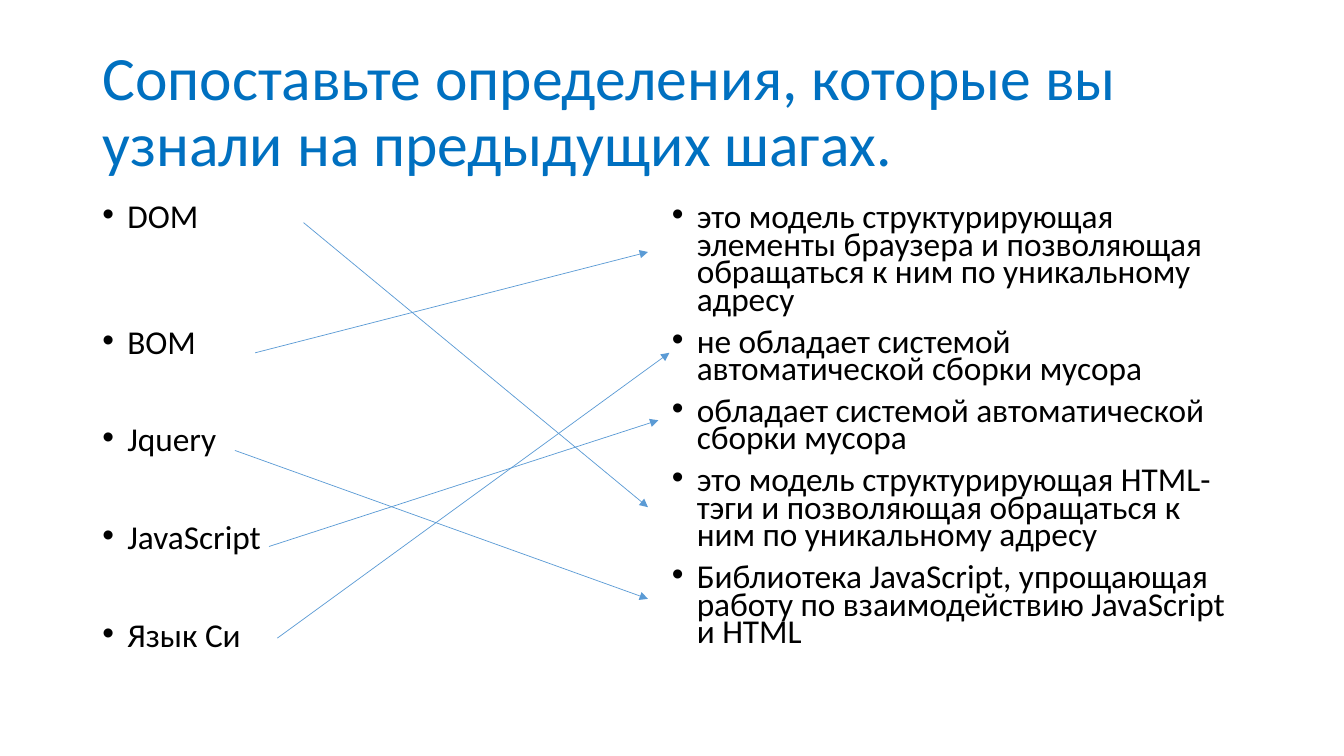
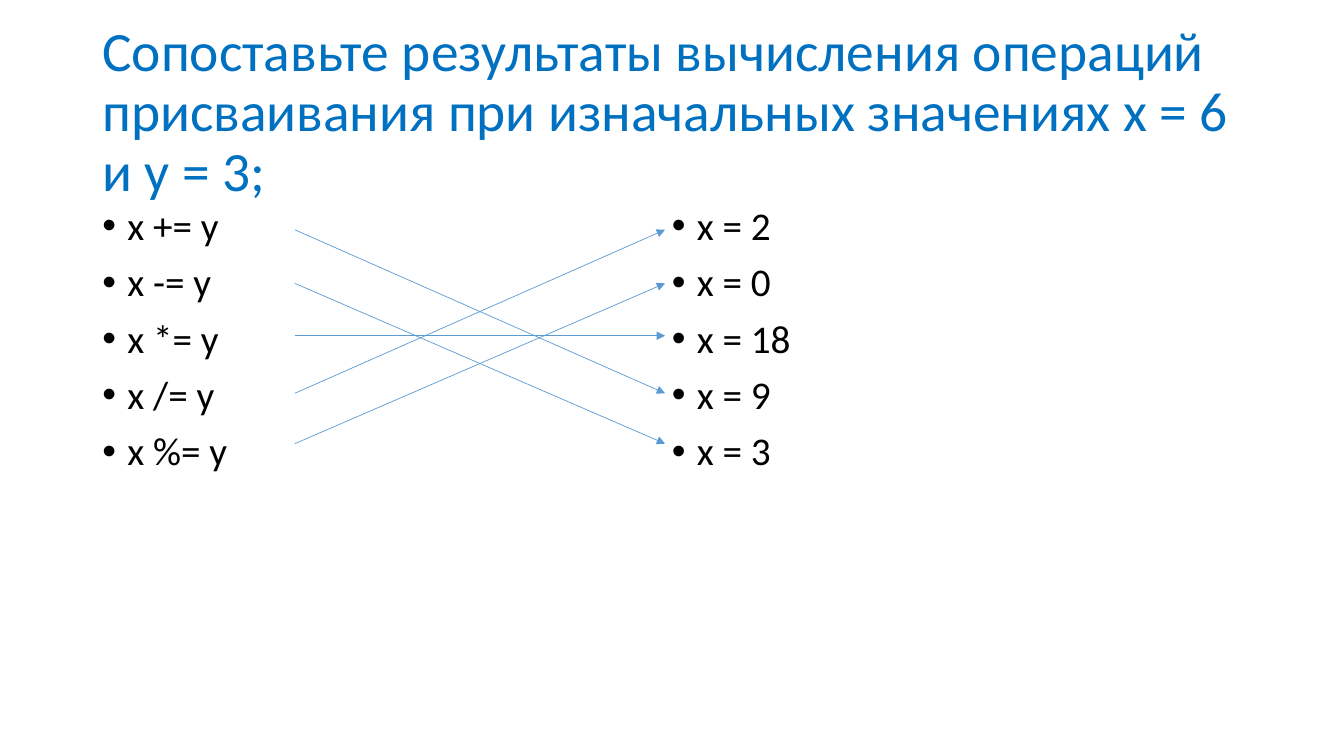
from lxml import etree
from pptx import Presentation
from pptx import util as u
from pptx.dml.color import RGBColor
from pptx.enum import shapes, text
from pptx.oxml import ns

COLORS = {"title": "0070C0", "body": "000000", "arrow": "5B9BD5"}
FONT = "Calibri"
LEFT, WIDTH = 2.33, 29.21
COLUMN_STEP, COLUMN_WIDTH = 14.35, 14.86
BODY_TOP, BODY_HEIGHT = 5.08, 12.1
INDENT = u.Cm(0.63)


def add_xml(parent, tag, **attrs):
    """Append a DrawingML element to its parent."""
    return etree.SubElement(parent, ns.qn(tag), **attrs)


class Deck:
    """Holds the presentation, its style and the current slide."""

    def __init__(self):
        """Start an empty widescreen presentation."""
        self.prs = Presentation()
        self.prs.slide_width, self.prs.slide_height = u.Cm(33.87), u.Cm(19.05)
        self.s = None

    def box(self, x, y, w, h, anchor):
        """Add a wrapping text box and return its text frame."""
        sp = self.s.shapes.add_textbox(u.Cm(x), u.Cm(y), u.Cm(w), u.Cm(h))
        tf = sp.text_frame
        tf.word_wrap = True
        tf.vertical_anchor = anchor
        return tf

    def run(self, p, words, size, color):
        """Add one styled run to a paragraph."""
        r = p.add_run()
        r.text = words
        r.font.name, r.font.size = FONT, u.Pt(size)
        r.font.color.rgb = RGBColor.from_string(COLORS[color])

    def slide(self, title, size):
        """Add a blank slide with a title."""
        self.s = self.prs.slides.add_slide(self.prs.slide_layouts[6])
        p = self.box(LEFT, 1.02, WIDTH, 3.68, text.MSO_ANCHOR.MIDDLE).paragraphs[0]
        p.line_spacing = 0.9
        self.run(p, title, size, "title")

    def bullets(self, column, items, size, spacing, gaps):
        """Fill a column with bullets; gaps are the points above each item."""
        tf = self.box(LEFT + column * COLUMN_STEP, BODY_TOP, COLUMN_WIDTH,
                      BODY_HEIGHT, text.MSO_ANCHOR.TOP)
        for i, (item, gap) in enumerate(zip(items, gaps)):
            p = tf.add_paragraph() if i else tf.paragraphs[0]
            p.line_spacing, p.space_before = spacing, u.Pt(gap)
            pPr = p._p.get_or_add_pPr()
            pPr.set("marL", str(INDENT))
            pPr.set("indent", str(-INDENT))
            add_xml(pPr, "a:buFont", typeface="Arial")
            add_xml(pPr, "a:buChar", char="•")
            self.run(p, item, size, "body")

    def arrow(self, x1, y1, x2, y2):
        """Draw a thin arrow from the first point to the second."""
        c = self.s.shapes.add_connector(
            shapes.MSO_CONNECTOR.STRAIGHT, *(u.Cm(v) for v in (x1, y1, x2, y2)))
        c.line.width = u.Pt(0.5)
        c.line.color.rgb = RGBColor.from_string(COLORS["arrow"])
        add_xml(c.line._get_or_add_ln(), "a:tailEnd", type="triangle")
        add_xml(c._element.spPr, "a:effectLst")


def definitions(deck):
    """Match the terms with their definitions."""
    deck.slide("Сопоставьте определения, которые вы узнали на предыдущих шагах.", 44)
    terms = ["DOM", "BOM", "Jquery", "JavaScript", "Язык Си"]
    meanings = [
        "это модель структурирующая элементы браузера и позволяющая "
        "обращаться к ним по уникальному адресу",
        "не обладает системой автоматической сборки мусора",
        "обладает системой автоматической сборки мусора",
        "это модель структурирующая HTML-тэги и позволяющая "
        "обращаться к ним по уникальному адресу",
        "Библиотека JavaScript, упрощающая работу по взаимодействию "
        "JavaScript и HTML",
    ]
    deck.bullets(0, terms, 23.8, 0.69, [0, 70, 50, 50, 50])
    deck.bullets(1, meanings, 23.8, 0.69, [0, 10, 10, 10, 10])
    for ends in [(6.43, 8.89, 16.33, 6.35), (7.65, 5.61, 16.33, 12.78),
                 (5.92, 11.35, 16.33, 15.09), (6.78, 13.77, 16.59, 10.59),
                 (6.99, 16.08, 16.87, 8.89)]:
        deck.arrow(*ends)


def assignments(deck):
    """Match the assignment operations with their results."""
    deck.slide("Сопоставьте результаты вычисления операций присваивания "
               "при изначальных значениях х = 6 и y = 3;", 39.6)
    gaps = [0, 10, 10, 10, 10]
    operations = [f"x {sign}= y" for sign in "+-*/%"]
    results = [f"x = {value}" for value in (2, 0, 18, 9, 3)]
    deck.bullets(0, operations, 28, 0.9, gaps)
    deck.bullets(1, results, 28, 0.9, gaps)
    rows = [5.79, 7.14, 8.46, 9.91, 11.18]
    for start, end in [(2, 2), (0, 3), (1, 4), (3, 0), (4, 1)]:
        deck.arrow(7.43, rows[start], 16.76, rows[end])


deck = Deck()
definitions(deck)
assignments(deck)
deck.prs.save("out.pptx")
